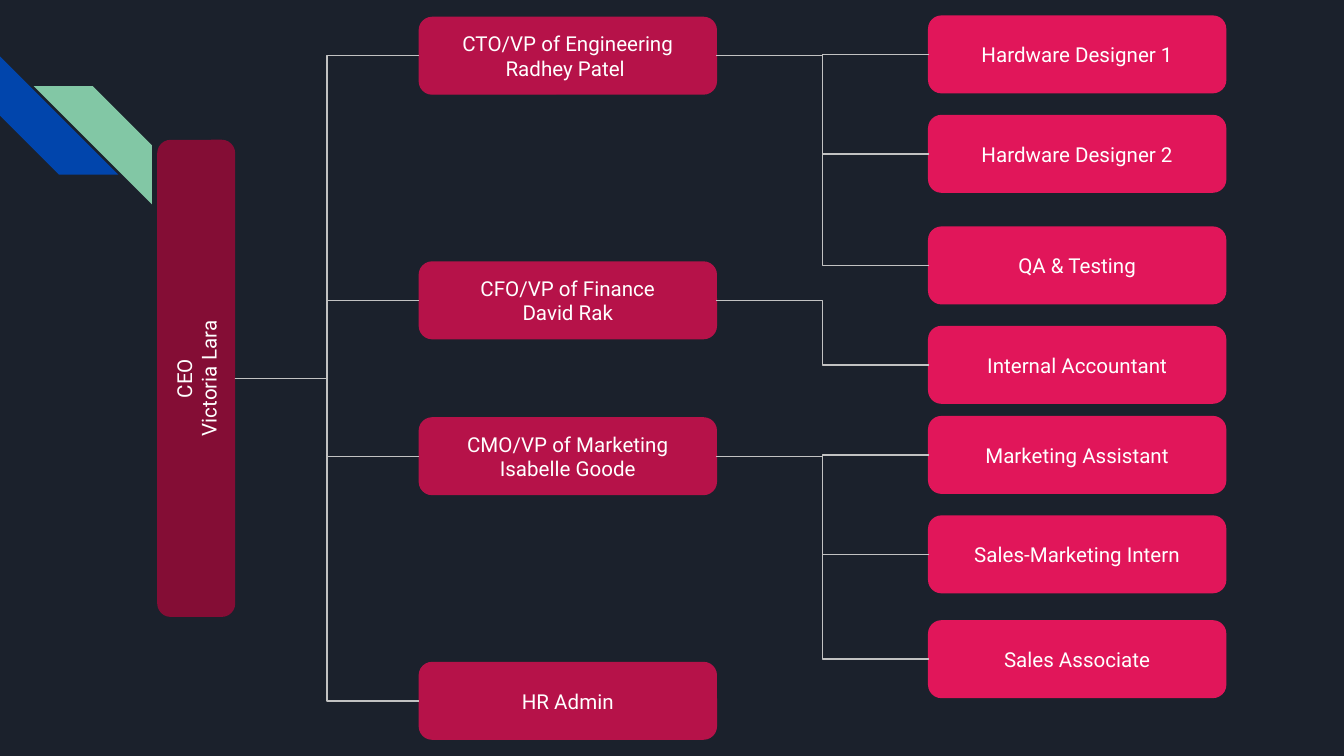
from dataclasses import dataclass

from lxml import etree
from pptx import Presentation
from pptx import util as u
from pptx.dml.color import RGBColor
from pptx.enum import shapes, text
from pptx.oxml import ns
from pptx.shapes.autoshape import Shape
from pptx.slide import Slide

FONT = "Roboto"
FONT_SIZE = 11
BACKGROUND = "1B212C"
WHITE = "FFFFFF"
LINK_COLOR = "C2C2C2"
CEO_COLOR = "840D35"
VP_COLOR = "B61249"
STAFF_COLOR = "E1165A"
STRIPE_SIZE = 0.88
BOX_WIDTH, BOX_HEIGHT = 2.21, 0.57
CEO_LEFT, CEO_TOP, CEO_WIDTH = -0.31, 2.53, 3.54
VP_LEFT, STAFF_LEFT = 3.12, 6.91


@dataclass(frozen=True)
class Role:
    title: str
    top: float


@dataclass(frozen=True)
class Branch:
    head: Role
    staff: tuple[Role, ...] = ()


@dataclass(frozen=True)
class Stripe:
    left: float
    top: float
    color: str
    rotation: float = 0
    mirrored: bool = False


STRIPES = (
    Stripe(0, 0.42, "0145AC", rotation=270),
    Stripe(0.25, 0.64, "82C7A5", mirrored=True),
)

BRANCHES = (
    Branch(
        Role("CTO/VP of Engineering\vRadhey Patel ", 0.13),
        (
            Role("Hardware Designer 1", 0.12),
            Role("Hardware Designer 2", 0.86),
            Role("QA & Testing", 1.69),
        ),
    ),
    Branch(
        Role("CFO/VP of Finance\vDavid Rak", 1.95),
        (Role("Internal Accountant", 2.43),),
    ),
    Branch(
        Role("CMO/VP of Marketing\vIsabelle Goode", 3.11),
        (
            Role("Marketing Assistant", 3.10),
            Role("Sales-Marketing Intern", 3.84),
            Role("Sales Associate", 4.62),
        ),
    ),
    Branch(Role("HR Admin", 4.93)),
)


def rgb(color: str) -> RGBColor:
    return RGBColor.from_string(color)


def draw_stripe(slide: Slide, stripe: Stripe) -> None:
    band = slide.shapes.add_shape(
        shapes.MSO_SHAPE.DIAGONAL_STRIPE,
        u.Inches(stripe.left), u.Inches(stripe.top),
        u.Inches(STRIPE_SIZE), u.Inches(STRIPE_SIZE),
    )
    band.shadow.inherit = False
    band.fill.solid()
    band.fill.fore_color.rgb = rgb(stripe.color)
    band.line.fill.background()
    band.rotation = stripe.rotation
    if stripe.mirrored:
        band._element.spPr.xfrm.set("flipH", "1")


def draw_role(
    slide: Slide, role: Role, left: float, color: str,
    width: float = BOX_WIDTH, rotation: float = 0,
) -> Shape:
    card = slide.shapes.add_shape(
        shapes.MSO_SHAPE.ROUNDED_RECTANGLE,
        u.Inches(left), u.Inches(role.top), u.Inches(width), u.Inches(BOX_HEIGHT),
    )
    card.shadow.inherit = False
    card.rotation = rotation
    card.fill.solid()
    card.fill.fore_color.rgb = rgb(color)
    card.line.color.rgb = rgb(color)
    card.line.width = u.Pt(0.75)
    frame = card.text_frame
    frame.word_wrap = True
    frame.vertical_anchor = text.MSO_ANCHOR.MIDDLE
    frame.margin_left = frame.margin_right = u.Inches(0.1)
    frame.margin_top = frame.margin_bottom = u.Inches(0.1)
    frame.text = role.title
    paragraph = frame.paragraphs[0]
    paragraph.alignment = text.PP_ALIGN.CENTER
    for run in paragraph.runs:
        run.font.name = FONT
        run.font.size = u.Pt(FONT_SIZE)
        run.font.color.rgb = rgb(WHITE)
    for line_break in paragraph._p.findall(ns.qn("a:br")):
        etree.SubElement(line_break, ns.qn("a:rPr"), sz=str(FONT_SIZE * 100))
    return card


def draw_link(slide: Slide, manager: Shape, report: Shape) -> None:
    upright = manager.rotation == 0
    half_extent = (manager.width if upright else manager.height) // 2
    link = slide.shapes.add_connector(
        shapes.MSO_CONNECTOR.ELBOW,
        manager.left + manager.width // 2 + half_extent,
        manager.top + manager.height // 2,
        report.left,
        report.top + report.height // 2,
    )
    if upright:
        link.begin_connect(manager, 3)
    link.end_connect(report, 1)
    link.line.color.rgb = rgb(LINK_COLOR)
    link.line.width = u.Pt(0.75)
    etree.SubElement(link._element.spPr, ns.qn("a:effectLst"))


def main() -> None:
    deck = Presentation()
    deck.slide_width = u.Inches(10)
    deck.slide_height = deck.slide_width * 9 // 16
    slide = deck.slides.add_slide(deck.slide_layouts[6])
    slide.background.fill.solid()
    slide.background.fill.fore_color.rgb = rgb(BACKGROUND)

    for stripe in STRIPES:
        draw_stripe(slide, stripe)

    ceo = draw_role(
        slide, Role("CEO\vVictoria Lara", CEO_TOP), CEO_LEFT, CEO_COLOR,
        width=CEO_WIDTH, rotation=270,
    )
    for branch in BRANCHES:
        head = draw_role(slide, branch.head, VP_LEFT, VP_COLOR)
        draw_link(slide, ceo, head)
        for role in branch.staff:
            draw_link(slide, head, draw_role(slide, role, STAFF_LEFT, STAFF_COLOR))

    deck.save("out.pptx")


if __name__ == "__main__":
    main()
